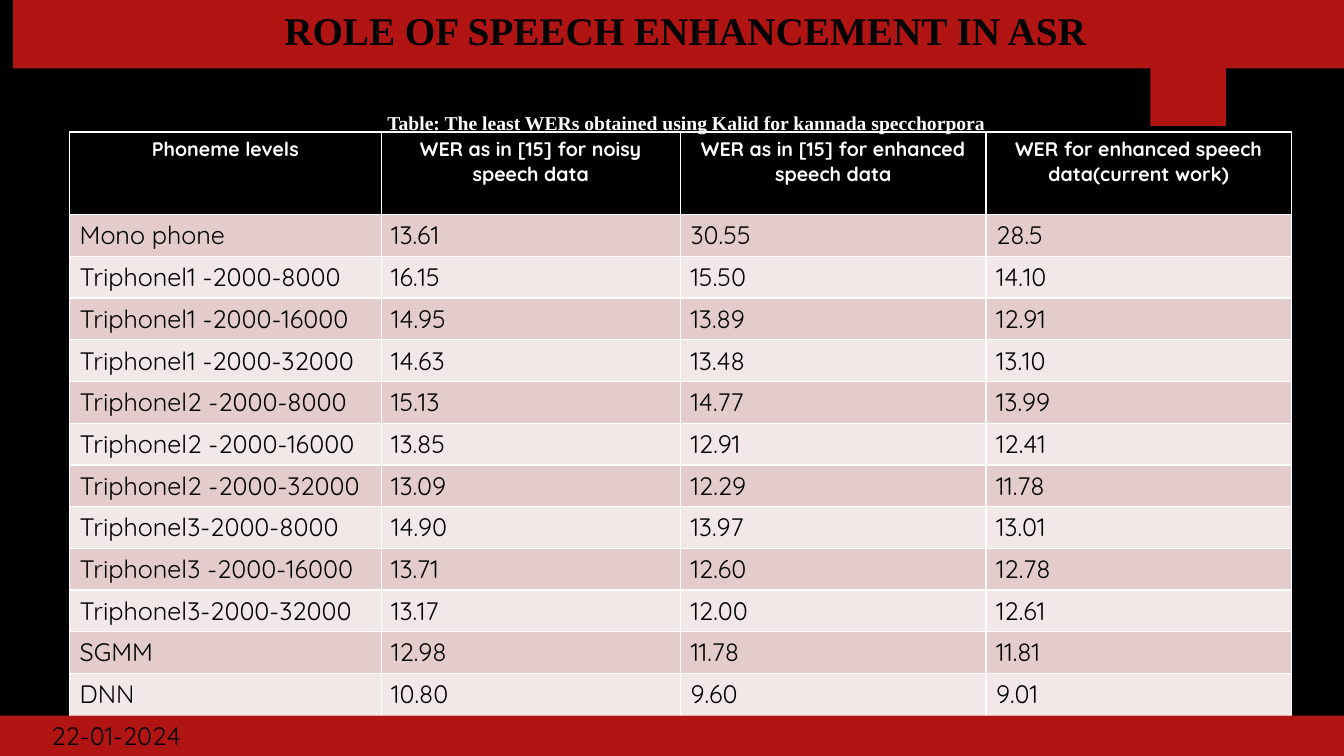
from lxml import etree
from pptx import Presentation
from pptx.dml.color import RGBColor
from pptx.enum.shapes import MSO_SHAPE
from pptx.enum.text import MSO_ANCHOR, MSO_AUTO_SIZE, PP_ALIGN
from pptx.oxml.ns import qn
from pptx.util import Inches, Pt

RECT = MSO_SHAPE.RECTANGLE
MIDDLE = MSO_ANCHOR.MIDDLE
NO_FIT = MSO_AUTO_SIZE.NONE
LEFT, CENTER = PP_ALIGN.LEFT, PP_ALIGN.CENTER

# Content
TITLE = "ROLE OF SPEECH ENHANCEMENT IN ASR"
CAPTION = "Table: The least WERs obtained using Kalid for kannada specchorpora"
DATE = "22-01-2024"
ROWS = [
    ("Phoneme levels", "WER as in [15] for noisy speech data",
     "WER as in [15] for enhanced speech data",
     "WER for enhanced speech data(current work)"),
    ("Mono phone", "13.61", "30.55", "28.5"),
    ("Triphonel1 -2000-8000", "16.15", "15.50", "14.10"),
    ("Triphonel1 -2000-16000", "14.95", "13.89", "12.91"),
    ("Triphonel1 -2000-32000", "14.63", "13.48", "13.10"),
    ("Triphonel2 -2000-8000", "15.13", "14.77", "13.99"),
    ("Triphonel2 -2000-16000", "13.85", "12.91", "12.41"),
    ("Triphonel2 -2000-32000", "13.09", "12.29", "11.78"),
    ("Triphonel3-2000-8000", "14.90", "13.97", "13.01"),
    ("Triphonel3 -2000-16000", "13.71", "12.60", "12.78"),
    ("Triphonel3-2000-32000", "13.17", "12.00", "12.61"),
    ("SGMM", "12.98", "11.78", "11.81"),
    ("DNN", "10.80", "9.60", "9.01"),
]
COL_WIDTHS = (3.09, 2.97, 3.03, 3.03)
HEADER_HEIGHT, ROW_HEIGHT = 0.82, 0.41

COLORS = {"black": "000000", "white": "FFFFFF", "red": "B01513",
          "band_dark": "E4CCCC", "band_light": "F2E8E7"}
SERIF, SANS = "Times New Roman", "Quicksand"
STYLES = {
    "title": {"name": SERIF, "size": Pt(28), "bold": True},
    "caption": {"name": SERIF, "size": Pt(14), "bold": True},
    "header": {"name": SANS, "size": Pt(14), "bold": True},
    "body": {"name": SANS, "size": Pt(18), "bold": False},
}


def rgb(color):
    return RGBColor.from_string(COLORS[color])


def paint(target, color):
    target.fill.solid()
    target.fill.fore_color.rgb = rgb(color)


def write(tf, text, style, color, align):
    p = tf.paragraphs[0]
    p.alignment = align
    r = p.add_run()
    r.text = text
    for key, value in STYLES[style].items():
        setattr(r.font, key, value)
    r.font.color.rgb = rgb(color)


def add_bar(shapes, left, top, width, height):
    sp = shapes.add_shape(RECT, Inches(left), Inches(top), Inches(width), Inches(height))
    sp.shadow.inherit = False
    paint(sp, "red")
    sp.line.fill.background()
    return sp


def add_borders(cell, color):
    tc_pr = cell._tc.get_or_add_tcPr()
    for i, side in enumerate(("lnL", "lnR", "lnT", "lnB")):
        ln = etree.Element(qn(f"a:{side}"), w=str(Pt(1)))
        fill = etree.SubElement(ln, qn("a:solidFill"))
        etree.SubElement(fill, qn("a:srgbClr"), val=COLORS[color])
        tc_pr.insert(i, ln)


prs = Presentation()
prs.slide_width, prs.slide_height = Inches(13.33), Inches(7.5)
s = prs.slides.add_slide(prs.slide_layouts[5])
paint(s.background, "black")

# Red tab and title band
add_bar(s.shapes, 11.41, 0, 0.75, 1.25)
title = s.shapes.title
title.left, title.top = Inches(0.13), Inches(0)
title.width, title.height = Inches(13.33), Inches(0.68)
paint(title, "red")
tf = title.text_frame
tf.auto_size, tf.vertical_anchor = NO_FIT, MIDDLE
tf.margin_bottom = Inches(0.08)
write(tf, TITLE, "title", "black", CENTER)
tf.paragraphs[0].line_spacing = 0.9
s.shapes._spTree.append(title._element)

# Results table
table_height = HEADER_HEIGHT + ROW_HEIGHT * (len(ROWS) - 1)
table = s.shapes.add_table(len(ROWS), len(COL_WIDTHS), Inches(0.69), Inches(1.31),
                           Inches(sum(COL_WIDTHS)), Inches(table_height)).table
for column, width in zip(table.columns, COL_WIDTHS):
    column.width = Inches(width)
for i, row in enumerate(ROWS):
    table.rows[i].height = Inches(ROW_HEIGHT if i else HEADER_HEIGHT)
    band = "band_dark" if i % 2 else "band_light"
    for j, text in enumerate(row):
        cell = table.cell(i, j)
        paint(cell, band if i else "black")
        add_borders(cell, "white")
        if i:
            write(cell.text_frame, text, "body", "black", LEFT)
        else:
            write(cell.text_frame, text, "header", "white", CENTER)

# Caption
tf = s.shapes.add_textbox(Inches(1.86), Inches(1.05), Inches(9.9), Inches(0.34)).text_frame
tf.word_wrap = True
write(tf, CAPTION, "caption", "white", CENTER)

# Footer band with date
tf = add_bar(s.shapes, 0, 7.1, 13.33, 0.4).text_frame
tf.margin_left = Inches(0.51)
tf.vertical_anchor = MIDDLE
write(tf, DATE, "body", "black", LEFT)

prs.save("out.pptx")
